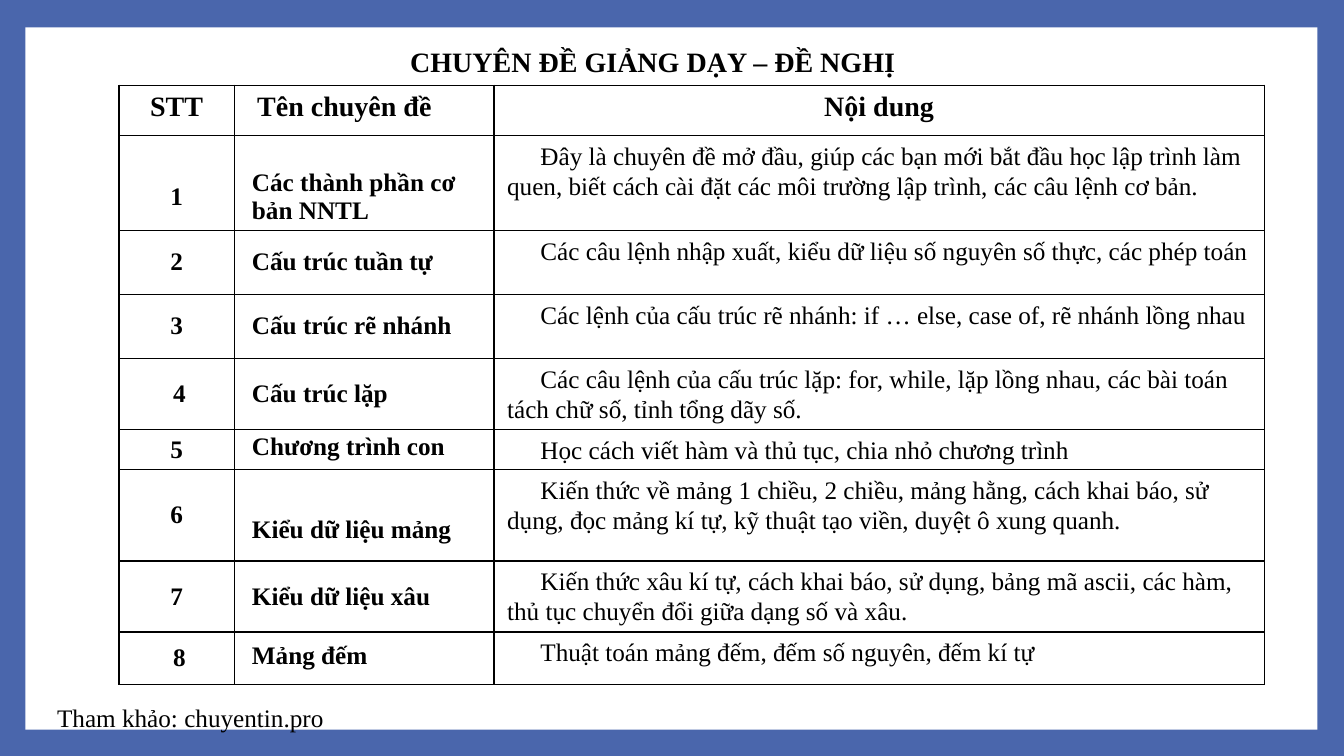
from lxml import etree
from pptx import Presentation
from pptx.dml.color import RGBColor
from pptx.enum.shapes import MSO_SHAPE
from pptx.enum.text import MSO_ANCHOR as ANCHOR, MSO_AUTO_SIZE, PP_ALIGN as ALIGN
from pptx.oxml.ns import qn
from pptx.util import Cm, Pt

FONT = "Times New Roman"
BLUE, WHITE, BLACK = "4A66AC", "FFFFFF", "000000"
COL_WIDTHS = [2.9, 6.55, 19.41]
ROW_HEIGHTS = [1.27, 2.38, 1.61, 1.61, 1.79, 1.02, 2.3, 1.79, 1.33]
HEADERS = ["STT", "Tên chuyên đề", "Nội dung"]
TOPICS = [
    ("Các thành phần cơ bản NNTL",
     "Đây là chuyên đề mở đầu, giúp các bạn mới bắt đầu học lập trình làm quen, "
     "biết cách cài đặt các môi trường lập trình, các câu lệnh cơ bản."),
    ("Cấu trúc tuần tự",
     "Các câu lệnh nhập xuất, kiểu dữ liệu số nguyên số thực, các phép toán"),
    ("Cấu trúc rẽ nhánh",
     "Các lệnh của cấu trúc rẽ nhánh: if … else, case of, rẽ nhánh lồng nhau"),
    ("Cấu trúc lặp",
     "Các câu lệnh của cấu trúc lặp: for, while, lặp lồng nhau, các bài toán "
     "tách chữ số, tỉnh tổng dãy số."),
    ("Chương trình con", "Học cách viết hàm và thủ tục, chia nhỏ chương trình"),
    ("Kiểu dữ liệu mảng",
     "Kiến thức về mảng 1 chiều, 2 chiều, mảng hằng, cách khai báo, sử dụng, "
     "đọc mảng kí tự, kỹ thuật tạo viền, duyệt ô xung quanh."),
    ("Kiểu dữ liệu xâu",
     "Kiến thức xâu kí tự, cách khai báo, sử dụng, bảng mã ascii, các hàm, "
     "thủ tục chuyển đổi giữa dạng số và xâu."),
    ("Mảng đếm", "Thuật toán mảng đếm, đếm số nguyên, đếm kí tự"),
]
LOWERED_NUMBERS, LOWERED_NAMES = {1}, {1, 6}
SHIFTED_NUMBERS, TIGHT_NAMES = {4, 8}, {5, 8}


def rgb(color):
    return RGBColor.from_string(color)


def write(tf, text, size, bold=False, align=ALIGN.LEFT, spacing=1.0, left=0, first=0):
    """Fill the first paragraph; left and first are indents in centimetres."""
    p = tf.paragraphs[0]
    p.alignment, p.line_spacing = align, spacing
    pPr = p._p.get_or_add_pPr()
    pPr.set("marL", str(Cm(left)))
    pPr.set("indent", str(Cm(first)))
    r = p.add_run()
    r.text = text
    r.font.name, r.font.size, r.font.bold = FONT, Pt(size), bold
    r.font.color.rgb = rgb(BLACK)


def style_cell(cell, anchor=ANCHOR.TOP, side=0.25, top=0.13, bottom=0.13):
    tcPr = cell._tc.get_or_add_tcPr()
    for edge in ("a:lnL", "a:lnR", "a:lnT", "a:lnB"):
        ln = etree.SubElement(tcPr, qn(edge), w=str(Pt(1)))
        fill = etree.SubElement(ln, qn("a:solidFill"))
        etree.SubElement(fill, qn("a:srgbClr"), val=BLACK)
    cell.fill.solid()
    cell.fill.fore_color.rgb = rgb(WHITE)
    cell.vertical_anchor = anchor
    cell.margin_left = cell.margin_right = Cm(side)
    cell.margin_top, cell.margin_bottom = Cm(top), Cm(bottom)


def add_panel(s):
    """White page area, placed behind the title."""
    sp = s.shapes.add_shape(MSO_SHAPE.RECTANGLE, Cm(0.64), Cm(0.69), Cm(32.56), Cm(17.7))
    sp.shadow.inherit = False
    sp.fill.solid()
    sp.fill.fore_color.rgb = rgb(WHITE)
    sp.line.fill.background()
    s.shapes._spTree.insert(2, sp._element)


def set_title(s, text):
    sp = s.shapes.title
    sp.left, sp.top, sp.width, sp.height = Cm(7.98), Cm(0.99), Cm(16.94), Cm(1.12)
    tf = sp.text_frame
    tf.word_wrap, tf.auto_size = True, MSO_AUTO_SIZE.NONE
    tf.vertical_anchor = ANCHOR.TOP
    write(tf, text, 20, bold=True, align=ALIGN.CENTER)


def add_topics(s):
    table = s.shapes.add_table(len(ROW_HEIGHTS), len(COL_WIDTHS), Cm(3), Cm(2.15),
                               Cm(sum(COL_WIDTHS)), Cm(sum(ROW_HEIGHTS))).table
    table.first_row = table.horz_banding = False
    for column, width in zip(table.columns, COL_WIDTHS):
        column.width = Cm(width)
    for row, height in zip(table.rows, ROW_HEIGHTS):
        row.height = Cm(height)

    for col, text in enumerate(HEADERS):
        cell = table.cell(0, col)
        style_cell(cell, side=0.38, top=0.38, bottom=0.38)
        is_name = col == 1
        write(cell.text_frame, text, 20, bold=True, spacing=0.63,
              align=ALIGN.LEFT if is_name else ALIGN.CENTER, left=0.2 if is_name else 0)

    for n, (name, content) in enumerate(TOPICS, 1):
        number_cell, name_cell, content_cell = table.rows[n].cells
        style_cell(number_cell, ANCHOR.MIDDLE, top=0.85 if n in LOWERED_NUMBERS else 0.13)
        write(number_cell.text_frame, str(n), 18, bold=True, align=ALIGN.CENTER,
              left=0.15 if n in SHIFTED_NUMBERS else 0)
        style_cell(name_cell, ANCHOR.MIDDLE, top=0.85 if n in LOWERED_NAMES else 0.13)
        write(name_cell.text_frame, name, 18, bold=True, left=0.2,
              spacing=0.7 if n in TIGHT_NAMES else 1.0)
        style_cell(content_cell)
        write(content_cell.text_frame, content, 18, spacing=1.08, left=0.08, first=0.84)


def add_reference(s, text):
    tf = s.shapes.add_textbox(Cm(1.19), Cm(17.58), Cm(8.61), Cm(1.02)).text_frame
    tf.word_wrap = True
    write(tf, text, 18)


def main():
    prs = Presentation()
    prs.slide_width, prs.slide_height = Cm(33.87), Cm(19.05)
    s = prs.slides.add_slide(prs.slide_layouts[5])
    s.background.fill.solid()
    s.background.fill.fore_color.rgb = rgb(BLUE)
    add_panel(s)
    set_title(s, "CHUYÊN ĐỀ GIẢNG DẠY – ĐỀ NGHỊ")
    add_topics(s)
    add_reference(s, "Tham khảo: chuyentin.pro")
    prs.save("out.pptx")


if __name__ == "__main__":
    main()
